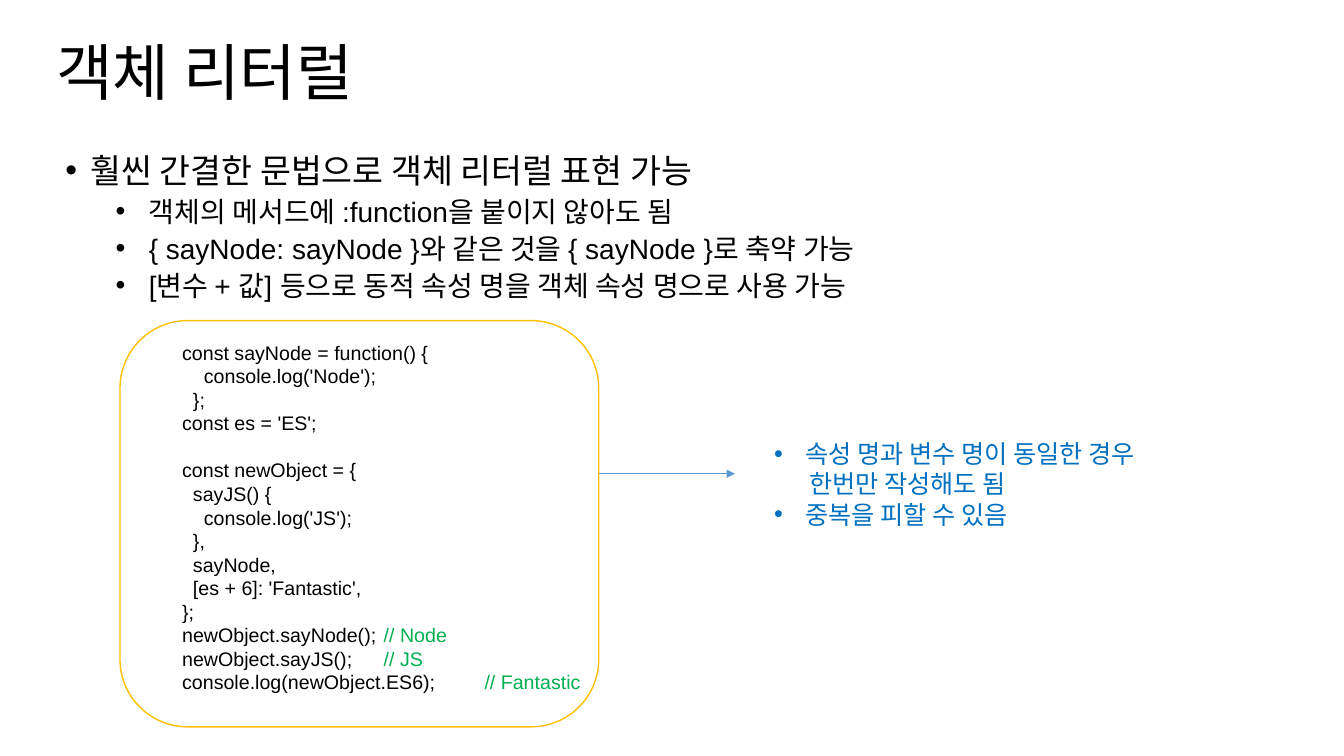
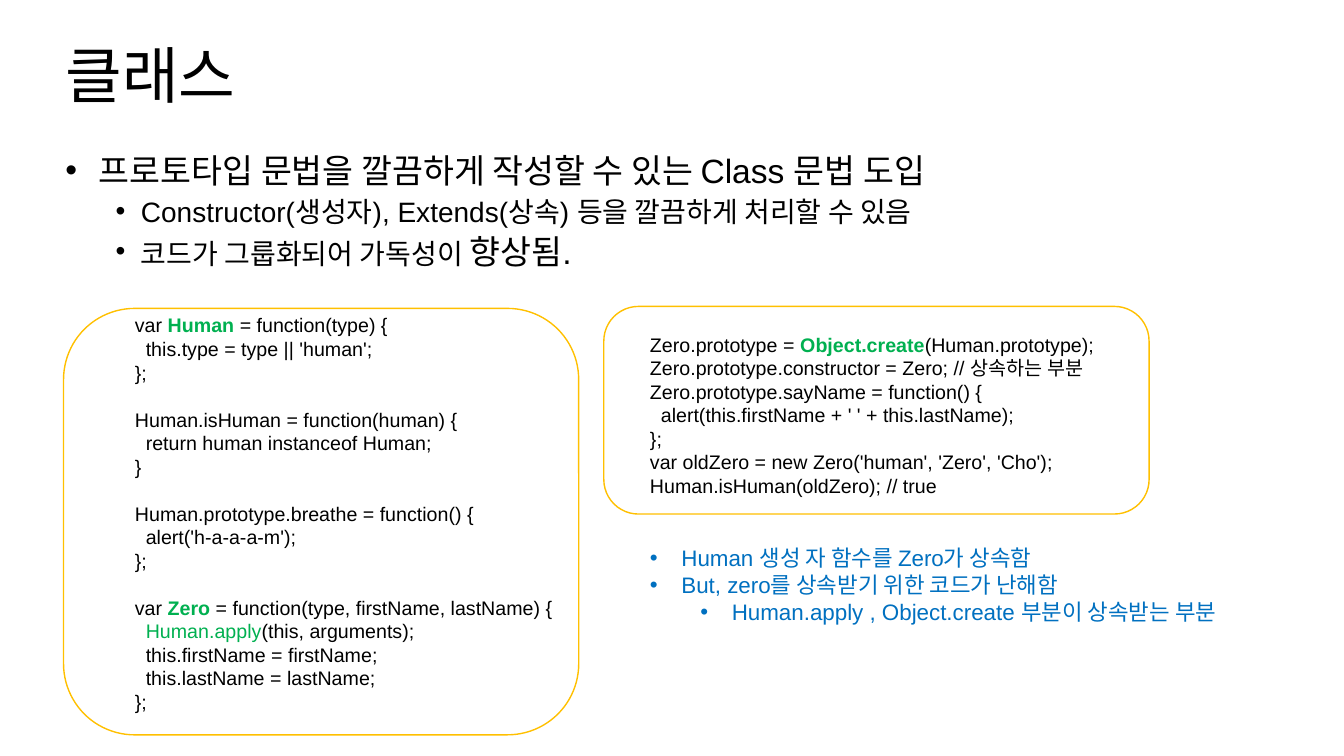
from lxml import etree
from pptx import Presentation
from pptx.dml.color import RGBColor
from pptx.enum.shapes import MSO_CONNECTOR, MSO_SHAPE
from pptx.enum.text import MSO_ANCHOR
from pptx.oxml.ns import qn
from pptx.util import Pt

STRAIGHT = MSO_CONNECTOR.STRAIGHT
ROUNDED = MSO_SHAPE.ROUNDED_RECTANGLE
TOP, MIDDLE = MSO_ANCHOR.TOP, MSO_ANCHOR.MIDDLE

BLACK, BLUE, GREEN, GOLD, SKY = "000000", "0070C0", "00B050", "FFC000", "5A9BD5"
LATIN, KOREAN = "Arial", "Noto Sans CJK KR"
CODE_SIZE = 14
CODE_LINE = 16.8
SPACE_WIDTH = 3.89
COMMENT_TABS = (150, 189)
BODY_SPACING, NOTE_SPACING = 1.08, 1.2

# Body and note lines: (text or runs, size, bullet, text left, bullet left)
SLIDES = [
    {
        "title": ("객체 리터럴", (33, 22, 639, 63.4)),
        "body": ((39.6, 106.6, 787, 391), [
            ("훨씬 간결한 문법으로 객체 리터럴 표현 가능", 24, True, 18, 0),
            ("객체의 메서드에 :function을 붙이지 않아도 됨", 20, True, 59.6, 36),
            ("{ sayNode: sayNode }와 같은 것을 { sayNode }로 축약 가능", 20, True, 59.6, 36),
            ("[변수 + 값] 등으로 동적 속성 명을 객체 속성 명으로 사용 가능", 20, True, 59.6, 36),
        ]),
        "notes": ((545.8, 309.6, 298.8, 72.7), [
            ("속성 명과 변수 명이 동일한 경우", 18, True, 22.5, 0),
            ("한번만 작성해도 됨", 18, False, 25, 25),
            ("중복을 피할 수 있음", 18, True, 22.5, 0),
        ]),
        "code": [
            ((123, 239.8, 480, 262), (85.7, 229, 342, 290.2), [
                "const sayNode = function() {",
                "    console.log('Node');",
                "  };",
                "const es = 'ES';",
                "",
                "const newObject = {",
                "  sayJS() {",
                "    console.log('JS');",
                "  },",
                "  sayNode,",
                "  [es + 6]: 'Fantastic',",
                "};",
                ["newObject.sayNode();\t", ("// Node", False)],
                ["newObject.sayJS();\t", ("// JS", False)],
                ["console.log(newObject.ES6);\t", ("// Fantastic", False)],
            ]),
        ],
        "arrows": [(427.7, 338.4, 524.9, 338.4)],
    },
    {
        "title": ("클래스", (39.6, 24.5, 639, 63.4)),
        "body": ((39.6, 106.6, 812, 391), [
            ("프로토타입 문법을 깔끔하게 작성할 수 있는 Class 문법 도입", 24, True, 24, 0),
            ("Constructor(생성자), Extends(상속) 등을 깔끔하게 처리할 수 있음", 20, True, 54, 36),
            (["코드가 그룹화되어 가독성이 ", ("향상됨.", 24)], 20, True, 54, 36),
        ]),
        "notes": ((457.2, 385.2, 438, 65.5), [
            ("Human 생성 자 함수를 Zero가 상속함", 16, True, 22.5, 0),
            ("But, zero를 상속받기 위한 코드가 난해함", 16, True, 22.5, 0),
            ("Human.apply , Object.create 부분이 상속받는 부분", 16, True, 58.5, 36),
        ]),
        "code": [
            ((89.3, 220.3, 480, 296), (45.4, 220.3, 368, 304.6), [
                ["var ", ("Human ", True), "= function(type) {"],
                "  this.type = type || 'human';",
                "};",
                "",
                "Human.isHuman = function(human) {",
                "  return human instanceof Human;",
                "}",
                "",
                "Human.prototype.breathe = function() {",
                "  alert('h-a-a-a-m');",
                "};",
                "",
                ["var ", ("Zero", True), " = function(type, firstName, lastName) {"],
                ["  ", ("Human.apply", False), "(this, arguments);"],
                "  this.firstName = firstName;",
                "  this.lastName = lastName;",
                "};",
            ]),
            ((457.2, 234, 480, 126), (431.3, 218.9, 389.5, 148.3), [
                ["Zero.prototype = ", ("Object.create", True), "(Human.prototype);"],
                "Zero.prototype.constructor = Zero; // 상속하는 부분",
                "Zero.prototype.sayName = function() {",
                "  alert(this.firstName + ' ' + this.lastName);",
                "};",
                "var oldZero = new Zero('human', 'Zero', 'Cho');",
                "Human.isHuman(oldZero); // true",
            ]),
        ],
        "arrows": [],
    },
]


def rgb(value):
    """Turn a hex string into a colour."""
    return RGBColor.from_string(value)


def points(values):
    """Turn a row of numbers into lengths."""
    return [Pt(v) for v in values]


def add_text(s, place, anchor=TOP):
    """Add an empty wrapping text box and return its frame."""
    tf = s.shapes.add_textbox(*points(place)).text_frame
    tf.word_wrap = True
    tf.vertical_anchor = anchor
    return tf


def next_paragraph(tf, index):
    """Return the first paragraph, or a new one after it."""
    return tf.add_paragraph() if index else tf.paragraphs[0]


def style(p, size, color, spacing, latin=LATIN):
    """Set the font and line spacing of a paragraph."""
    p.font.size = Pt(size)
    p.font.name = latin
    p.font.color.rgb = rgb(color)
    p.line_spacing = spacing
    etree.SubElement(p.font._element, qn("a:ea"), typeface=KOREAN)


def add_property(p, tag, **attributes):
    """Add a paragraph property ahead of its font and return it."""
    item = etree.Element(qn(tag), **attributes)
    p.font._element.addprevious(item)
    return item


def set_indent(p, left, first):
    """Set the text edge and the first line edge."""
    pPr = p._p.get_or_add_pPr()
    pPr.set("marL", str(Pt(left)))
    pPr.set("indent", str(Pt(first) - Pt(left)))


def add_runs(p, parts):
    """Add runs and yield each with its own setting, or None."""
    for part in [parts] if isinstance(parts, str) else parts:
        text, setting = (part, None) if isinstance(part, str) else part
        r = p.add_run()
        r.text = text
        yield r, setting


def add_list(s, place, lines, color, ratio, gap):
    """Add a bulleted list."""
    tf = add_text(s, place)
    for i, (parts, size, bullet, left, first) in enumerate(lines):
        p = next_paragraph(tf, i)
        tallest = size
        for r, own_size in add_runs(p, parts):
            if own_size:
                r.font.size = Pt(own_size)
                tallest = max(tallest, own_size)
        style(p, size, color, Pt(tallest * ratio))
        if i and gap:
            p.space_before = Pt(gap)
        set_indent(p, left, first)
        if bullet:
            add_property(p, "a:buFont", typeface=LATIN)
            add_property(p, "a:buChar", char="•")


def add_code(s, place, frame, lines):
    """Add a code listing and the rounded frame around it."""
    tf = add_text(s, place)
    count, gap = 0, 0
    for line in lines:
        if not line:
            gap += CODE_LINE
            continue
        parts = [line] if isinstance(line, str) else list(line)
        spaces = len(parts[0]) - len(parts[0].lstrip(" "))
        parts[0] = parts[0].lstrip(" ")
        p = next_paragraph(tf, count)
        style(p, CODE_SIZE, BLACK, Pt(CODE_LINE))
        p.space_before = Pt(gap)
        set_indent(p, spaces * SPACE_WIDTH, spaces * SPACE_WIDTH)
        if "\t" in parts[0]:
            tabs = add_property(p, "a:tabLst")
            for pos in COMMENT_TABS:
                etree.SubElement(tabs, qn("a:tab"), pos=str(Pt(pos)), algn="l")
        for r, bold in add_runs(p, [part for part in parts if part]):
            if bold is not None:
                r.font.color.rgb = rgb(GREEN)
                r.font.bold = bold
        count, gap = count + 1, 0
    sp = s.shapes.add_shape(ROUNDED, *points(frame))
    sp.shadow.inherit = False
    sp.fill.background()
    sp.line.color.rgb = rgb(GOLD)
    sp.line.width = Pt(1)


def add_arrow(s, ends):
    """Add a thin arrow."""
    line = s.shapes.add_connector(STRAIGHT, *points(ends))
    line.line.color.rgb = rgb(SKY)
    line.line.width = Pt(0.5)
    etree.SubElement(line.line._get_or_add_ln(), qn("a:tailEnd"), type="triangle")
    etree.SubElement(line._element.spPr, qn("a:effectLst"))


def add_slide(prs, content):
    """Build one slide from its content."""
    s = prs.slides.add_slide(prs.slide_layouts[6])
    title, place = content["title"]
    p = add_text(s, place, MIDDLE).paragraphs[0]
    p.add_run().text = title
    style(p, 44, BLACK, 0.9, KOREAN)
    add_list(s, *content["body"], BLACK, BODY_SPACING, 5)
    for ends in content["arrows"]:
        add_arrow(s, ends)
    add_list(s, *content["notes"], BLUE, NOTE_SPACING, 0)
    for listing in content["code"]:
        add_code(s, *listing)


def main():
    """Build and save the presentation."""
    prs = Presentation()
    prs.slide_width, prs.slide_height = Pt(960), Pt(540)
    for content in SLIDES:
        add_slide(prs, content)
    prs.save("out.pptx")


if __name__ == "__main__":
    main()
